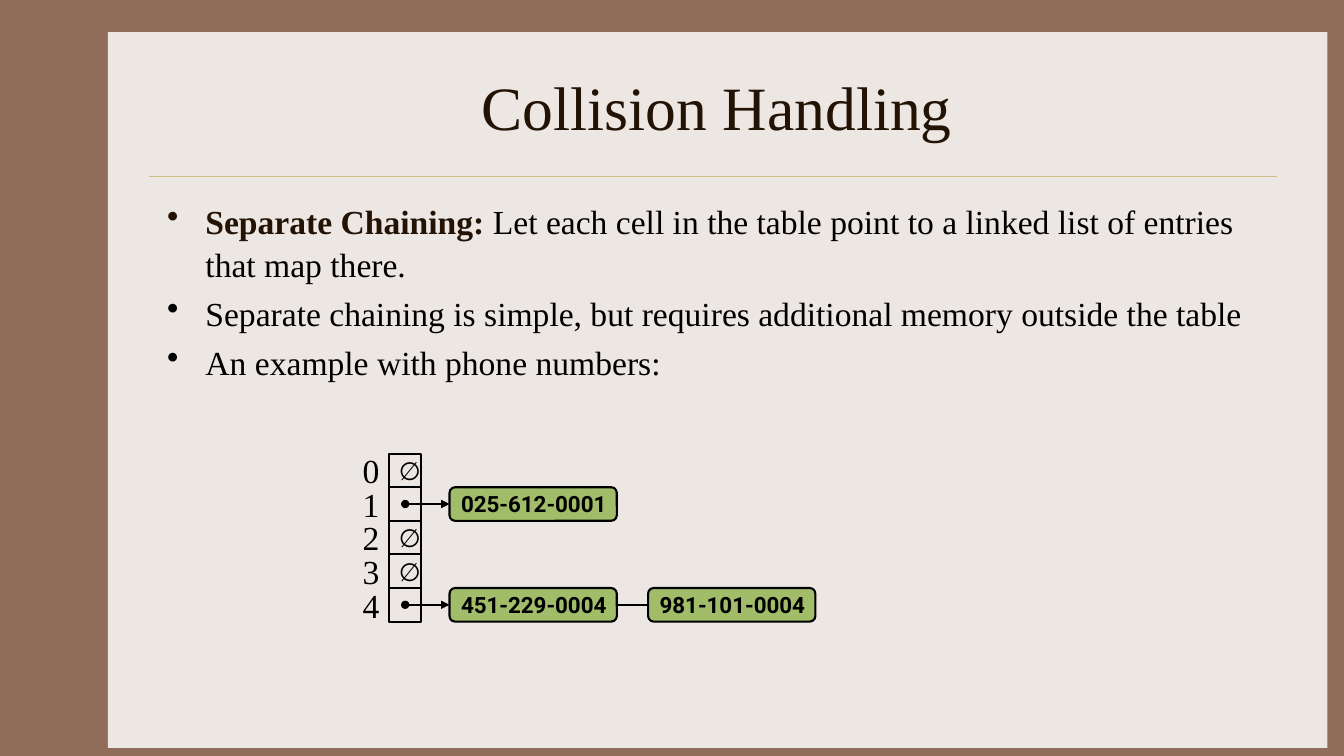
from lxml import etree
from pptx import Presentation
from pptx.dml.color import RGBColor
from pptx.enum.shapes import MSO_CONNECTOR, MSO_SHAPE
from pptx.enum.text import MSO_ANCHOR, PP_ALIGN
from pptx.oxml.ns import qn
from pptx.util import Inches, Pt

LINE = MSO_CONNECTOR.STRAIGHT
RECT, ROUND = MSO_SHAPE.RECTANGLE, MSO_SHAPE.ROUNDED_RECTANGLE
TOP, MIDDLE = MSO_ANCHOR.TOP, MSO_ANCHOR.MIDDLE
LEFT, CENTER = PP_ALIGN.LEFT, PP_ALIGN.CENTER
COLS, ROWS = 40, 22.5
UNIT = Inches(1) / 3

BACK, CARD, GOLD = "906D58", "EDE7E3", "CBBD83"
BROWN, BLACK, GREEN = "221304", "000000", "A1BD69"
SERIF, SANS = "Times New Roman", "Roboto"
HEAD = {"name": SERIF, "size": Pt(44), "color": BROWN}
BODY = {"name": SERIF, "size": Pt(24), "color": BLACK}
TERM = {**BODY, "color": BROWN, "bold": True}
NULL = {"name": SANS, "size": Pt(18), "color": BLACK}
PHONE = {"name": SANS, "size": Pt(16), "color": BLACK, "bold": True}


def unit(num):
    return round(num * UNIT)


def tint(code):
    return RGBColor.from_string(code)


class Board:
    """Draws styled elements on one slide, measured in grid columns and rows."""

    def __init__(self, deck):
        self.slide = deck.slides.add_slide(deck.slide_layouts[6])
        fill = self.slide.background.fill
        fill.solid()
        fill.fore_color.rgb = tint(BACK)
        self.shapes = self.slide.shapes

    def label(self, shape, paras, align=LEFT, anchor=TOP, wrap=False, bullet=False):
        frame = shape.text_frame
        frame.word_wrap = wrap
        frame.vertical_anchor = anchor
        for i, runs in enumerate(paras):
            para = frame.add_paragraph() if i else frame.paragraphs[0]
            para.alignment = align
            if bullet:
                para.line_spacing = 1.06
                para.space_before = Pt(4.5)
                props = para._p.get_or_add_pPr()
                props.set("marL", str(Inches(0.38)))
                props.set("indent", str(-Inches(0.38)))
                etree.SubElement(props, qn("a:buChar"), char="•")
            for text, style in runs:
                run = para.add_run()
                run.text = text
                for key, val in style.items():
                    if key == "color":
                        run.font.color.rgb = tint(val)
                    else:
                        setattr(run.font, key, val)

    def text(self, box, paras, **form):
        self.label(self.shapes.add_textbox(*map(unit, box)), paras, **form)

    def shape(self, kind, box, fill=None, line=None, text=None, style=None):
        shape = self.shapes.add_shape(kind, *map(unit, box))
        shape.shadow.inherit = False
        if fill:
            shape.fill.solid()
            shape.fill.fore_color.rgb = tint(fill)
        else:
            shape.fill.background()
        if line:
            shape.line.color.rgb = tint(line)
            shape.line.width = Pt(1.5)
        else:
            shape.line.fill.background()
        if text:
            self.label(shape, [[(text, style)]], anchor=MIDDLE)

    def line(self, start, end, row, color=BLACK, width=1.5, arrow=False):
        line = self.shapes.add_connector(LINE, *map(unit, (start, row, end, row)))
        line.line.color.rgb = tint(color)
        line.line.width = Pt(width)
        if arrow:
            edge = line.line._get_or_add_ln()
            etree.SubElement(edge, qn("a:headEnd"), type="oval")
            etree.SubElement(edge, qn("a:tailEnd"), type="triangle")
        etree.SubElement(line._element.spPr, qn("a:effectLst"))


def main():
    deck = Presentation()
    deck.slide_width, deck.slide_height = unit(COLS), unit(ROWS)
    board = Board(deck)

    board.shape(RECT, (3.21, 0.96, 36.3, 21.3), fill=CARD)
    board.line(4.44, 38, 5.25, GOLD, 0.25)
    board.text((4.68, 1.26, 33.33, 3.75), [[("Collision Handling", HEAD)]],
               align=CENTER, anchor=MIDDLE, wrap=True)
    board.text((4.68, 5.76, 33.33, 13.5), [
        [("Separate Chaining: ", TERM),
         ("Let each cell in the table point to a linked list of entries that map there.", BODY)],
        [("Separate chaining is simple, but requires additional memory outside the table", BODY)],
        [("An example with phone numbers:", BODY)],
    ], wrap=True, bullet=True)

    chains = [[], ["025-612-0001"], [], [], ["451-229-0004", "981-101-0004"]]
    first, step, wide = 13.38, 5.91, 4.98
    for i, chain in enumerate(chains):
        row = 13.5 + i
        mid = row + 0.5
        board.shape(RECT, (11.58, row, 0.96, 1), line=BLACK,
                    text=None if chain else "∅", style=NULL)
        board.text((10.5, row - 0.25, 1.11, 1.5), [[(str(i), BODY)]])
        for j, phone in enumerate(chain):
            left = first + j * step
            board.shape(ROUND, (left, row, wide, 1), GREEN, BLACK, phone, PHONE)
            if j:
                board.line(left - step + wide, left, mid)
            else:
                board.line(12.06, left, mid, arrow=True)

    deck.save("out.pptx")


if __name__ == "__main__":
    main()
